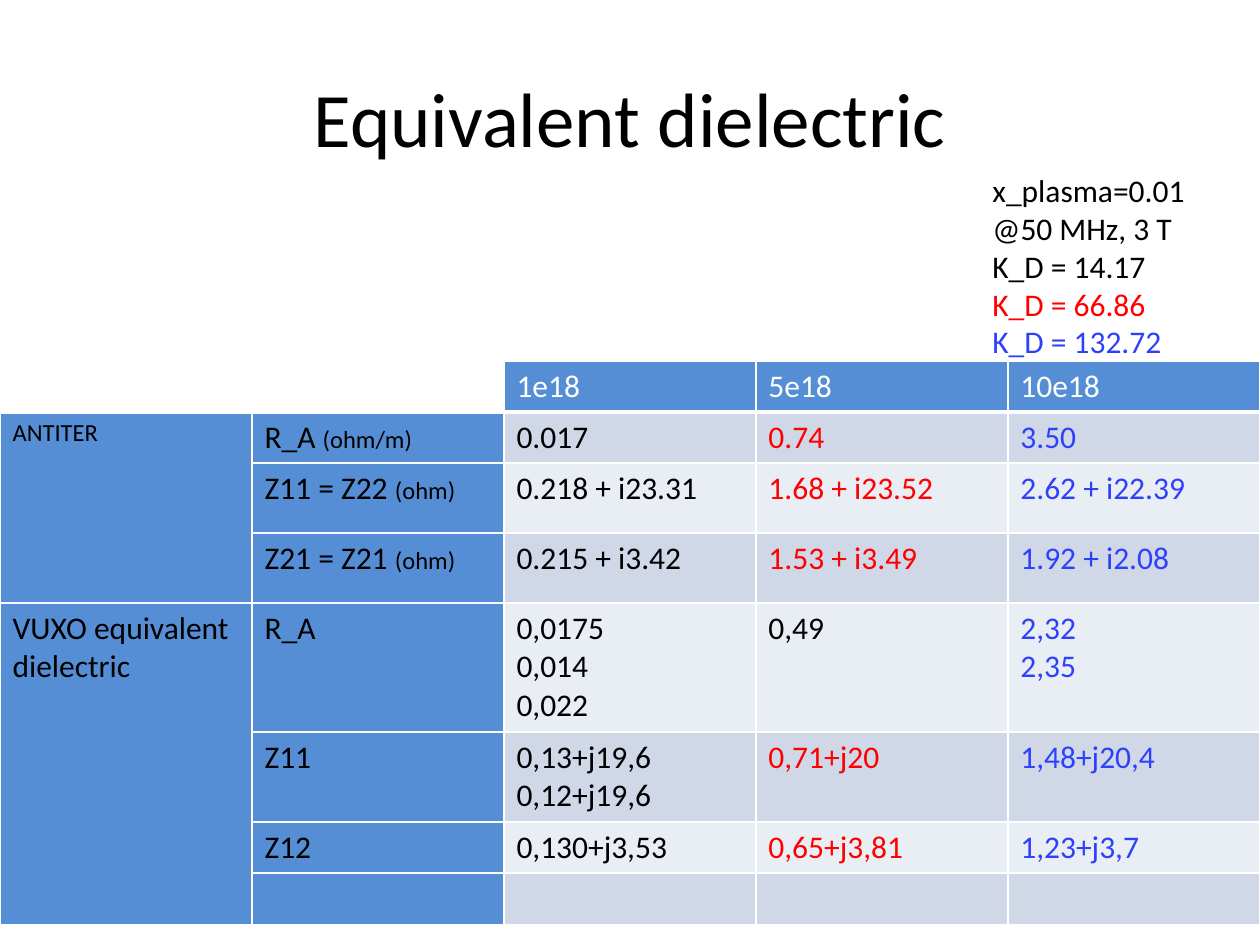
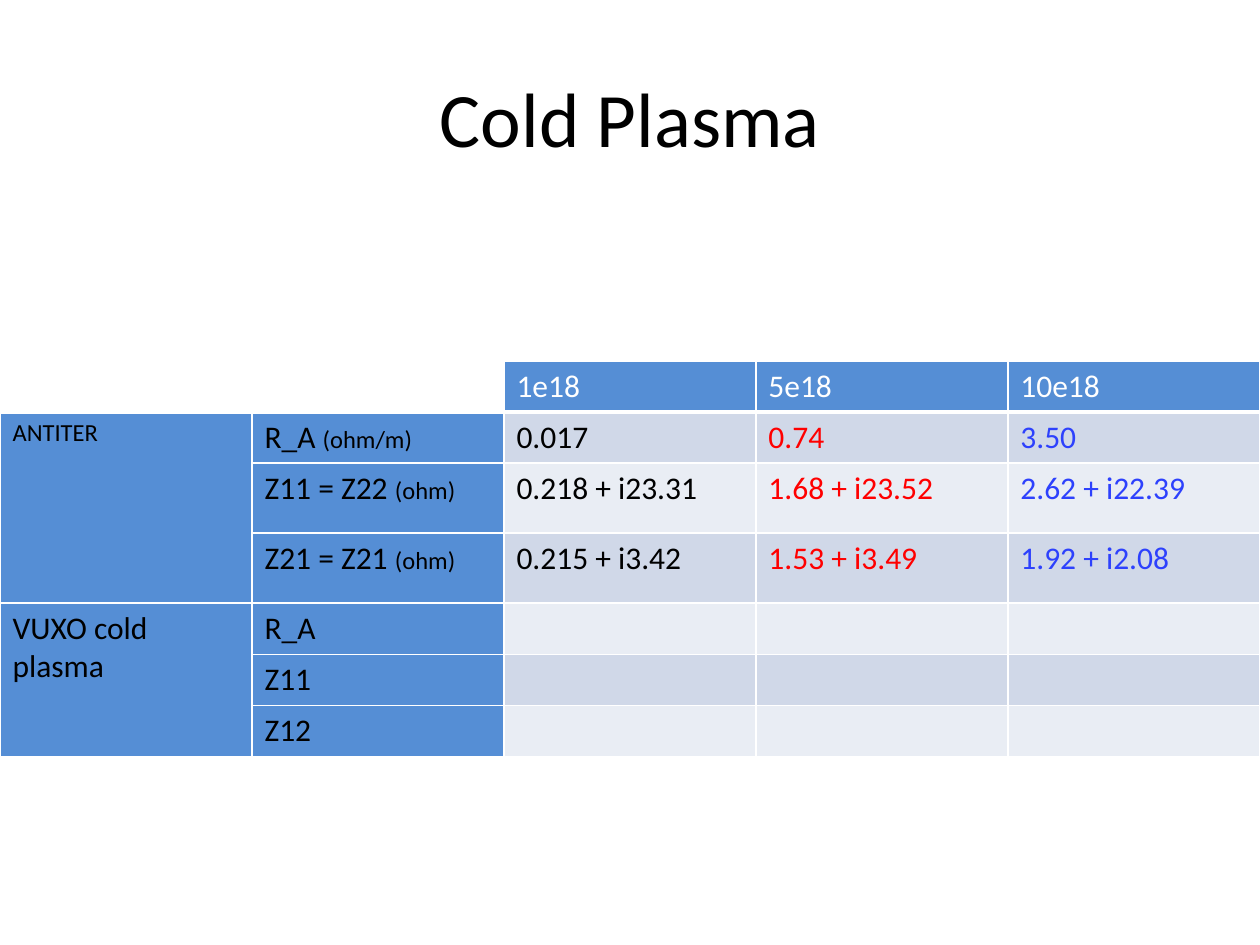
import pptx
import pptx.util
import pptx.dml.color
import pptx.enum.text
import pptx.oxml.ns
from dataclasses import dataclass
from lxml import etree

# Cell text: a list of lines; a (text, unit) tuple adds a smaller unit.
ANTITER_ROWS = [
    [("R_A ", "(ohm/m)"), ["0.017"], ["0.74"], ["3.50"]],
    [("Z11 = Z22 ", "(ohm)"), ["0.218 + i23.31"], ["1.68 + i23.52"], ["2.62 + i22.39"]],
    [("Z21 = Z21 ", "(ohm)"), ["0.215 + i3.42"], ["1.53 + i3.49"], ["1.92 + i2.08"]],
]
DIELECTRIC_ROWS = [
    [["R_A"], ["0,0175", "0,014", "0,022"], ["0,49"], ["2,32", "2,35"]],
    [["Z11"], ["0,13+j19,6", "0,12+j19,6"], ["0,71+j20"], ["1,48+j20,4"]],
    [["Z12"], ["0,130+j3,53"], ["0,65+j3,81"], ["1,23+j3,7"]],
    [[], [], [], []],
]
COLD_PLASMA_ROWS = [[[name], [], [], []] for name in ("R_A", "Z11", "Z12")]
DENSITIES = ["1e18", "5e18", "10e18"]

SLIDES = [
    {
        "title": "Equivalent dielectric",
        "model": "VUXO equivalent dielectric",
        "rows": DIELECTRIC_ROWS,
        "black_values": ["0,49"],
        "notes": [
            ("x_plasma=0.01", "black"),
            ("@50 MHz, 3 T", "black"),
            ("K_D = 14.17", "black"),
            ("K_D = 66.86", "red"),
            ("K_D = 132.72", "blue"),
        ],
    },
    {
        "title": "Cold Plasma",
        "model": "VUXO cold plasma",
        "rows": COLD_PLASMA_ROWS,
        "black_values": [],
        "notes": [],
    },
]


@dataclass(frozen=True)
class Theme:
    font: str = "Calibri"
    title_size: int = 44
    body_size: int = 18
    small_size: int = 14
    black: str = "000000"
    white: str = "FFFFFF"
    red: str = "FF0000"
    blue: str = "2D41FD"
    label_fill: str = "558ED5"
    bands: tuple = ("D0D8E8", "E9EDF4")


THEME = Theme()
VALUE_COLORS = [THEME.black, THEME.red, THEME.blue]

PX = pptx.util.Inches(1) // 126
SLIDE_SIZE = (1260, 945)
TITLE_BOX = (63, 38, 1134, 157)
NOTES_BOX = (980, 165, 272, 204)
TABLE_TOP = 361
COLUMN_COUNT = 5
ROW_HEIGHT = 51
UNIT_ROW_HEIGHT = 70
EXTRA_LINE = 39


def scaled(lengths):
    return [length * PX for length in lengths]


def rgb(value):
    return pptx.dml.color.RGBColor.from_string(value)


def style_font(font, size, color):
    font.name = THEME.font
    font.size = pptx.util.Pt(size)
    font.color.rgb = rgb(color)


def write_lines(frame, lines):
    """Write (text, size, color) lines, one paragraph each."""
    for index, (text, size, color) in enumerate(lines):
        para = frame.add_paragraph() if index else frame.paragraphs[0]
        para.text = text
        style_font(para.font, size, color)


def write_with_unit(frame, text, unit):
    para = frame.paragraphs[0]
    for part, size in ((text, THEME.body_size), (unit, THEME.small_size)):
        span = para.add_run()
        span.text = part
        style_font(span.font, size, THEME.black)


def fill_cell(cell, content, fill, color=THEME.black, size=THEME.body_size):
    cell.fill.solid()
    cell.fill.fore_color.rgb = rgb(fill)
    if isinstance(content, tuple):
        write_with_unit(cell.text_frame, *content)
    else:
        write_lines(cell.text_frame, [(line, size, color) for line in content])


def border_header_cell(cell):
    properties = cell._tc.get_or_add_tcPr()
    for index, (side, points) in enumerate((("L", 1), ("R", 1), ("T", 1), ("B", 3))):
        line = etree.Element(pptx.oxml.ns.qn("a:ln" + side), w=str(pptx.util.Pt(points)))
        fill = etree.SubElement(line, pptx.oxml.ns.qn("a:solidFill"))
        etree.SubElement(fill, pptx.oxml.ns.qn("a:srgbClr"), val=THEME.white)
        properties.insert(index, line)


def row_height(row, index):
    if index in (1, 2):
        return UNIT_ROW_HEIGHT
    most_lines = max(len(lines) for lines in row[1:])
    return ROW_HEIGHT + EXTRA_LINE * max(0, most_lines - 1)


def add_impedance_table(page, model, model_rows, black_values):
    body = ANTITER_ROWS + model_rows
    heights = [ROW_HEIGHT] + [row_height(row, index) for index, row in enumerate(body)]
    frame = page.shapes.add_table(
        len(heights), COLUMN_COUNT, *scaled((0, TABLE_TOP, SLIDE_SIZE[0], sum(heights)))
    )
    table = frame.table
    table.first_row = False
    table.horz_banding = False
    for row, height in zip(table.rows, heights):
        row.height = height * PX

    for column, text in enumerate(["", ""] + DENSITIES):
        cell = table.cell(0, column)
        fill = THEME.label_fill if text else THEME.white
        fill_cell(cell, [text] if text else [], fill, THEME.white)
        border_header_cell(cell)

    for index, (label, *values) in enumerate(body):
        fill_cell(table.cell(index + 1, 1), label, THEME.label_fill)
        band = THEME.bands[index % 2]
        for column, (lines, color) in enumerate(zip(values, VALUE_COLORS), start=2):
            shown = THEME.black if lines == black_values else color
            fill_cell(table.cell(index + 1, column), lines, band, shown)

    first_model_row = 1 + len(ANTITER_ROWS)
    groups = [
        ("ANTITER", 1, first_model_row - 1, THEME.small_size),
        (model, first_model_row, len(body), THEME.body_size),
    ]
    for name, first, last, size in groups:
        table.cell(first, 0).merge(table.cell(last, 0))
        fill_cell(table.cell(first, 0), [name], THEME.label_fill, size=size)


def add_title(page, text):
    title = page.shapes.title
    title.left, title.top, title.width, title.height = scaled(TITLE_BOX)
    title.text_frame.vertical_anchor = pptx.enum.text.MSO_ANCHOR.MIDDLE
    write_lines(title.text_frame, [(text, THEME.title_size, THEME.black)])
    title.text_frame.paragraphs[0].alignment = pptx.enum.text.PP_ALIGN.CENTER


def add_notes_box(page, notes):
    frame = page.shapes.add_textbox(*scaled(NOTES_BOX)).text_frame
    frame.word_wrap = True
    frame.auto_size = pptx.enum.text.MSO_AUTO_SIZE.SHAPE_TO_FIT_TEXT
    write_lines(
        frame, [(text, THEME.body_size, getattr(THEME, color)) for text, color in notes]
    )


def main():
    deck = pptx.Presentation()
    deck.slide_width, deck.slide_height = scaled(SLIDE_SIZE)
    title_only = deck.slide_layouts[5]
    for content in SLIDES:
        page = deck.slides.add_slide(title_only)
        add_title(page, content["title"])
        add_impedance_table(page, content["model"], content["rows"], content["black_values"])
        if content["notes"]:
            add_notes_box(page, content["notes"])
    deck.save("out.pptx")


if __name__ == "__main__":
    main()
